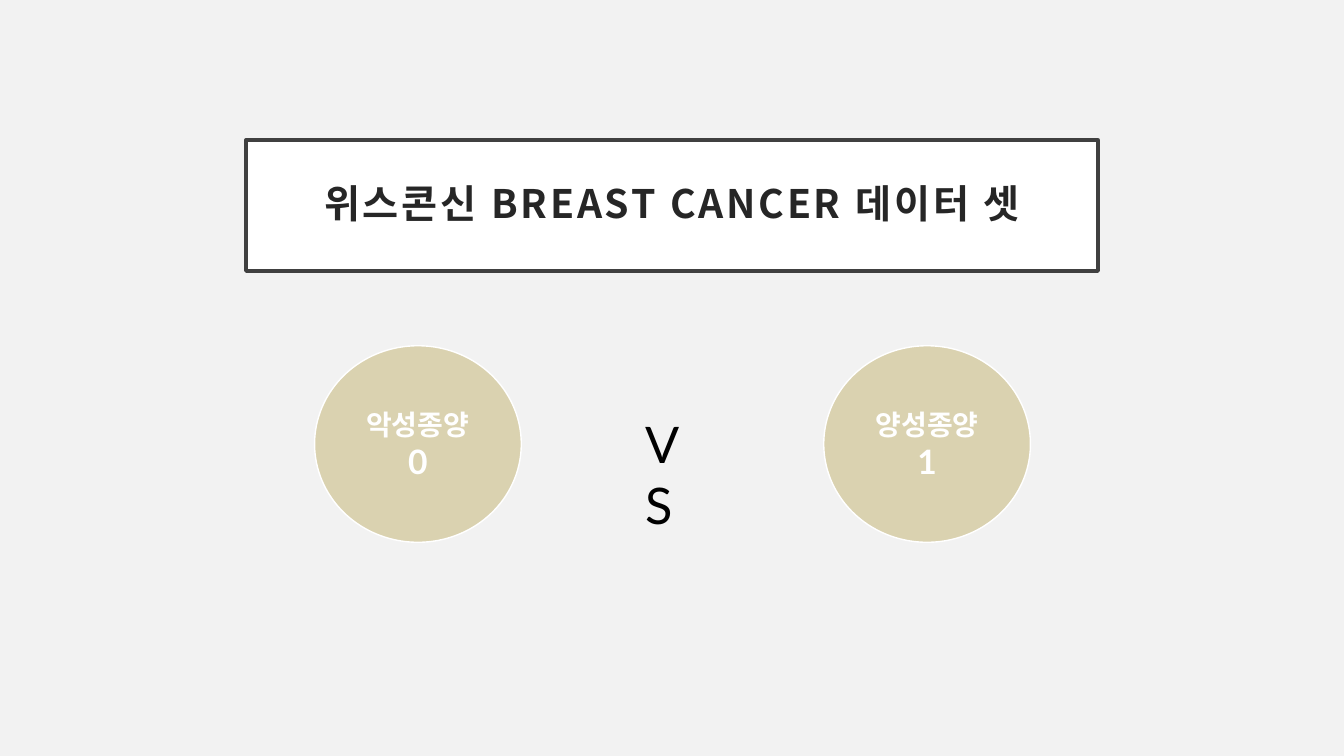
from dataclasses import dataclass

from pptx import Presentation
from pptx import util as u
from pptx.dml.color import RGBColor
from pptx.enum import shapes, text
from pptx.oxml.ns import qn

TITLE = "위스콘신 BREAST CANCER 데이터 셋"
CLASSES = [("악성종양", "0"), ("양성종양", "1")]
VERSUS = "VS"


@dataclass(frozen=True)
class Theme:
    background: str = "F2F2F2"
    panel: str = "FFFFFF"
    frame: str = "404040"
    title: str = "262626"
    circle: str = "DAD2B0"
    light: str = "FFFFFF"
    dark: str = "000000"
    font: str = "Lato"
    korean_font: str = "Noto Sans CJK KR"
    title_size: int = 28
    label_size: int = 20
    value_size: int = 24
    versus_size: int = 36


THEME = Theme()
WIDTH, HEIGHT = 13.33, 7.5
TITLE_W, TITLE_H, TITLE_TOP = 8.45, 1.3, 1.39
CIRCLE_W, CIRCLE_H, CIRCLE_TOP = 2.05, 1.95, 3.43
CIRCLE_LEFT, CIRCLE_STEP = 3.12, 5.05
VERSUS_BOX = (6.3, 4.05, 0.74, 0.71)


def inches(bounds):
    return [u.Inches(length) for length in bounds]


def add_panel(page, preset, bounds, fill, line, line_width):
    panel = page.shapes.add_shape(preset, *inches(bounds))
    panel.shadow.inherit = False
    panel.fill.solid()
    panel.fill.fore_color.rgb = RGBColor.from_string(fill)
    panel.line.color.rgb = RGBColor.from_string(line)
    panel.line.width = u.Pt(line_width)
    panel.text_frame.word_wrap = True
    panel.text_frame.vertical_anchor = text.MSO_ANCHOR.MIDDLE
    return panel


def style(para, size, color, bold=True, font=THEME.font, align=text.PP_ALIGN.CENTER):
    para.alignment = align
    for span in para.runs:
        span.font.size = u.Pt(size)
        span.font.bold = bold
        span.font.name = font
        span.font.color.rgb = RGBColor.from_string(color)
        east_asian = span.font._element.makeelement(
            qn("a:ea"), {"typeface": THEME.korean_font if font == THEME.korean_font else font})
        span.font._element.find(qn("a:latin")).addnext(east_asian)


def add_title(page):
    bounds = ((WIDTH - TITLE_W) / 2, TITLE_TOP, TITLE_W, TITLE_H)
    box = add_panel(page, shapes.MSO_SHAPE.RECTANGLE, bounds, THEME.panel, THEME.frame, 2.5)
    frame = box.text_frame
    frame.margin_left = frame.margin_right = u.Inches(0.2)
    frame.margin_top = frame.margin_bottom = u.Inches(0.2)
    frame.text = TITLE
    para = frame.paragraphs[0]
    para.line_spacing = 0.9
    style(para, THEME.title_size, THEME.title, font=THEME.korean_font)
    para.runs[0].font._element.set("spc", "200")


def add_circles(page):
    for column, (label, value) in enumerate(CLASSES):
        bounds = (CIRCLE_LEFT + column * CIRCLE_STEP, CIRCLE_TOP, CIRCLE_W, CIRCLE_H)
        circle = add_panel(page, shapes.MSO_SHAPE.OVAL, bounds, THEME.circle, THEME.light, 1)
        circle.text_frame.text = f"{label}\n{value}"
        for para, size in zip(circle.text_frame.paragraphs, (THEME.label_size, THEME.value_size)):
            style(para, size, THEME.light)


def add_versus(page):
    frame = page.shapes.add_textbox(*inches(VERSUS_BOX)).text_frame
    frame.word_wrap = True
    frame.auto_size = text.MSO_AUTO_SIZE.SHAPE_TO_FIT_TEXT
    frame.text = VERSUS
    style(frame.paragraphs[0], THEME.versus_size, THEME.dark, bold=False,
          align=text.PP_ALIGN.LEFT)


def main():
    deck = Presentation()
    deck.slide_width, deck.slide_height = inches((WIDTH, HEIGHT))
    page = deck.slides.add_slide(deck.slide_layouts[6])
    page.background.fill.solid()
    page.background.fill.fore_color.rgb = RGBColor.from_string(THEME.background)
    add_title(page)
    add_circles(page)
    add_versus(page)
    deck.save("out.pptx")


if __name__ == "__main__":
    main()
